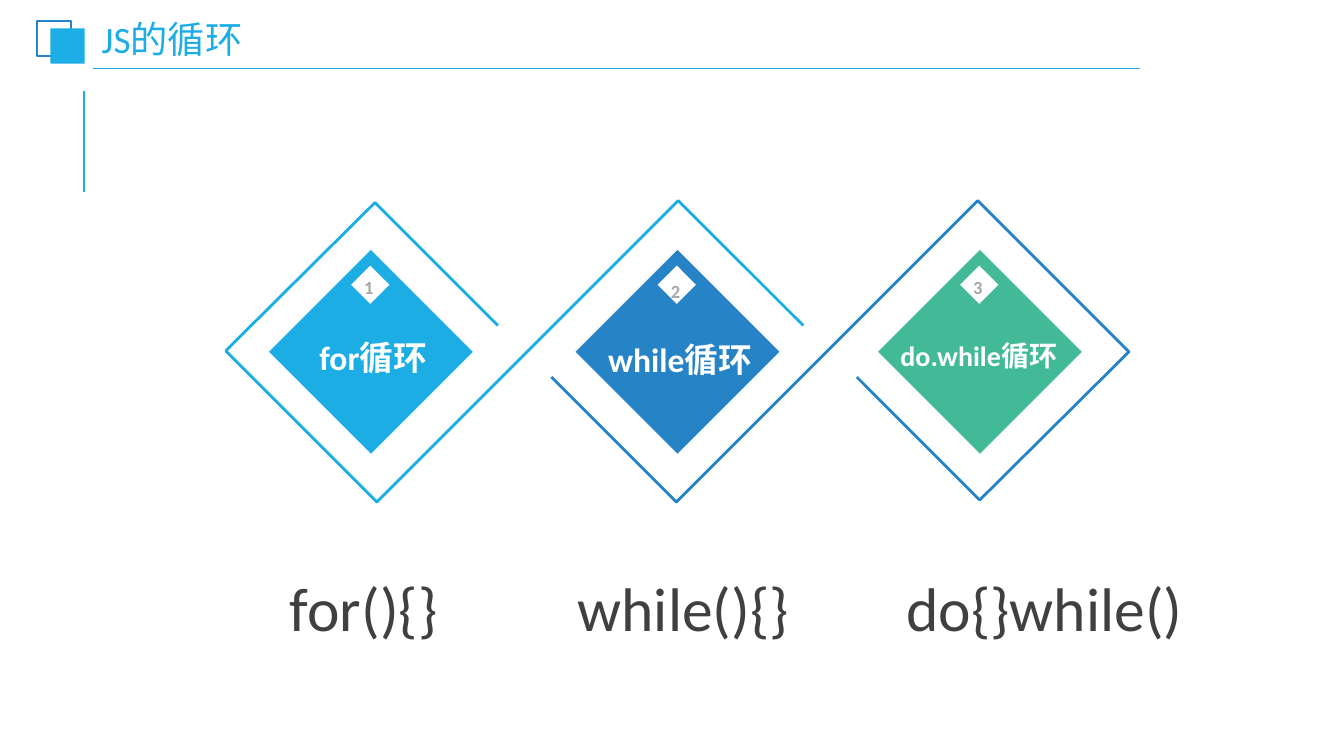
from pptx import Presentation
from pptx.dml.color import RGBColor
from pptx.enum.shapes import MSO_CONNECTOR as CONN, MSO_SHAPE as SHAPE
from pptx.enum.text import MSO_ANCHOR as ANCHOR, PP_ALIGN as ALIGN
from pptx.oxml.ns import qn
from pptx.util import Pt
from lxml.etree import SubElement

SKY, BLUE, GREEN = "1CADE4", "2683C6", "42BA97"
WHITE, GREY, DARK = "FFFFFF", "A6A6A6", "404040"

LOOP_BAND = [(573.84, 232.56), (484.56, 143.28), (269.28, 358.56),
             (161.28, 250.56), (267.84, 144.72), (355.68, 232.56)]

# centre x, colour, number top, label, label box, label size, code, code box
LOOPS = [
    (265, SKY, 194, "for循环", (221.8, 234.7, 89.3, 33.1), 24,
     "for(){}", (169.9, 391, 180, 64.1)),
    (484, BLUE, 196.6, "while循环", (427.7, 236.2, 115.9, 55.4), 24,
     "while(){}", (398.2, 391, 180, 64.1)),
    (700, GREEN, 194, "do.while循环", (628.6, 236.9, 141.1, 27.4), 20,
     "do{}while()", (631.4, 391, 229.7, 69.1)),
]


def rgb(value):
    """Turn a hex string into a colour."""
    return RGBColor.from_string(value)


def paint(s, fill=None, line=None, width=1):
    """Set the fill and outline of a shape, and drop its shadow."""
    s.shadow.inherit = False
    if fill:
        s.fill.solid()
        s.fill.fore_color.rgb = rgb(fill)
    else:
        s.fill.background()
    if line:
        s.line.color.rgb = rgb(line)
        s.line.width = Pt(width)
    else:
        s.line.fill.background()


def add_square(slide, x, y, w, h, rotation=0, **style):
    """Draw a rectangle, turned by rotation degrees."""
    s = slide.shapes.add_shape(SHAPE.RECTANGLE, Pt(x), Pt(y), Pt(w), Pt(h))
    s.rotation = rotation
    paint(s, **style)


def add_diamond(slide, cx, cy, side, **style):
    """Draw a square standing on its corner around a centre."""
    add_square(slide, cx - side / 2, cy - side / 2, side, side, 315, **style)


def add_line(slide, x1, y1, x2, y2, width):
    """Draw a straight header line."""
    s = slide.shapes.add_connector(CONN.STRAIGHT, Pt(x1), Pt(y1), Pt(x2), Pt(y2))
    s.line.color.rgb = rgb(SKY)
    s.line.width = Pt(width)
    SubElement(s._element.spPr, qn("a:effectLst"))


def add_band(slide, points, color):
    """Draw an open outline through the points."""
    points = [(Pt(x), Pt(y)) for x, y in points]
    builder = slide.shapes.build_freeform(*points[0])
    builder.add_line_segments(points[1:], close=False)
    paint(builder.convert_to_shape(), line=color, width=2)


def add_text(slide, text, box, size, color, bold=False, spacing=1.2,
             align=ALIGN.CENTER, anchor=ANCHOR.TOP, inset=(0, 0)):
    """Write one paragraph in a text box."""
    tf = slide.shapes.add_textbox(*map(Pt, box)).text_frame
    tf.word_wrap = True
    tf.vertical_anchor = anchor
    tf.margin_left = tf.margin_right = Pt(inset[0])
    tf.margin_top = tf.margin_bottom = Pt(inset[1])
    p = tf.paragraphs[0]
    p.alignment = align
    p.line_spacing = spacing
    r = p.add_run()
    r.text = text
    r.font.name = "Calibri"
    r.font.size = Pt(size)
    r.font.bold = bold
    r.font.color.rgb = rgb(color)


def add_header(slide):
    """Draw the title with its lines and squares."""
    add_line(slide, 59.8, 136.8, 59.8, 64.8, 1.5)
    add_line(slide, 66.2, 49, 814.3, 49, 1.25)
    add_square(slide, 26.6, 15.1, 24.5, 25.2, line=BLUE, width=1.5)
    add_square(slide, 36, 20.2, 24.5, 25.2, fill=SKY)
    add_text(slide, "JS的循环", (67.7, 16.6, 283, 26.6), 26.6, SKY, spacing=0.9,
             align=ALIGN.LEFT, anchor=ANCHOR.MIDDLE, inset=(5, 3))


def add_loop(slide, cx, color, number, number_top, label, label_box,
             label_size, code, code_box):
    """Draw one numbered loop diamond and the code below it."""
    add_diamond(slide, cx, 251.3, 103.7, fill=color, line=WHITE, width=0.5)
    add_diamond(slide, cx - 0.5, 203.4, 19.4, fill=WHITE)
    add_text(slide, str(number), (cx - 5.1, number_top, 7.2, 17.3), 13.2, GREY,
             bold=True)
    add_text(slide, label, label_box, label_size, WHITE, bold=True)
    add_text(slide, code, code_box, 44, DARK, spacing=1.3)


def main():
    """Build the slide and save it."""
    prs = Presentation()
    prs.slide_width, prs.slide_height = Pt(960), Pt(540)
    slide = prs.slides.add_slide(prs.slide_layouts[6])
    add_header(slide)
    add_band(slide, LOOP_BAND, SKY)
    add_band(slide, [(967.68 - x, 501.84 - y) for x, y in LOOP_BAND], BLUE)
    for number, (cx, color, *rest) in enumerate(LOOPS, 1):
        add_loop(slide, cx, color, number, *rest)
    prs.save("out.pptx")


if __name__ == "__main__":
    main()
